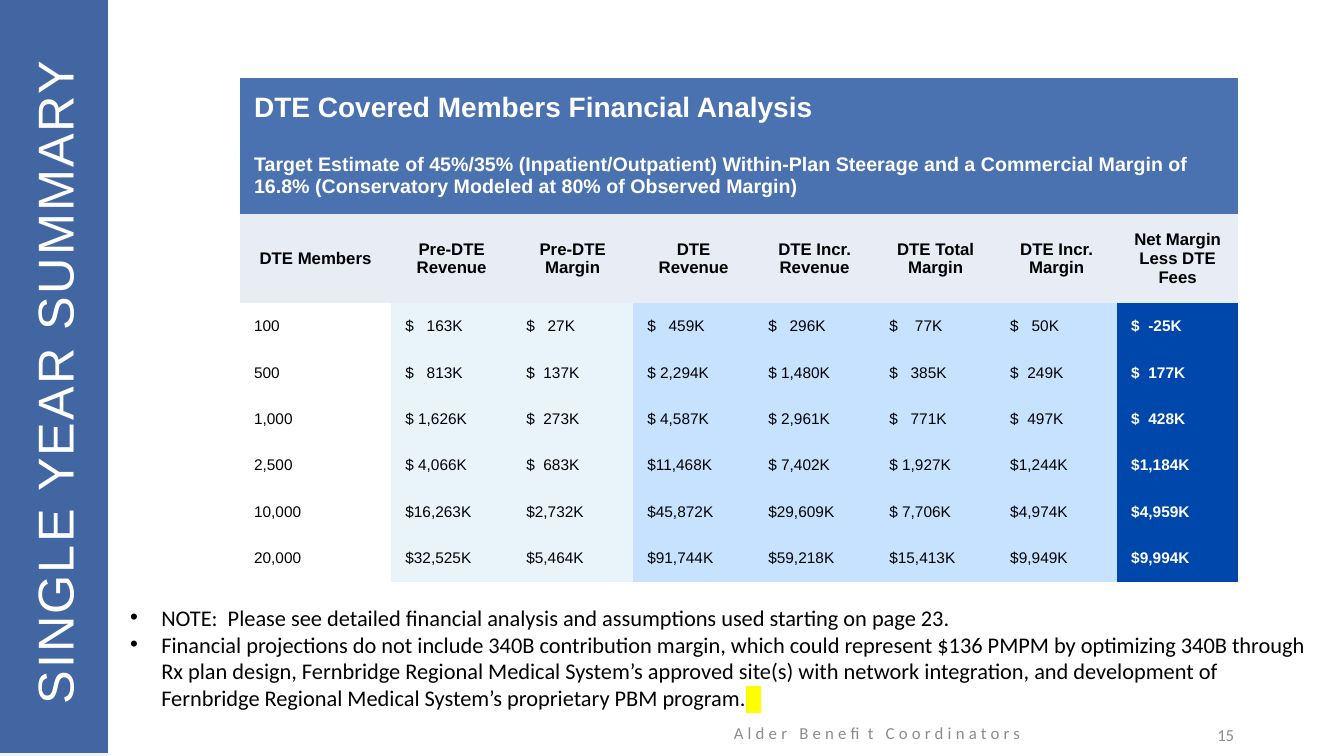
from pptx import Presentation
from pptx.dml.color import RGBColor
from pptx.enum.shapes import MSO_SHAPE
from pptx.enum.text import MSO_ANCHOR, MSO_AUTO_SIZE, PP_ALIGN
from pptx.oxml.ns import qn
from pptx.util import Inches, Pt
from lxml.etree import SubElement

COLORS = {
    "white": "FFFFFF", "black": "000000", "gray": "8C8C8C", "base": "F2F2F2",
    "bar": "254F96", "banner": "4A72B0", "heading": "E7ECF5",
    "before": "E8F4F9", "after": "C6E2FF", "net": "0047AB", "mark": "FFFF00",
}
NO_STYLE = "{2D5ABB26-0587-4C30-8999-92F81FD0307C}"

BANNERS = [
    ("DTE Covered Members Financial Analysis", 20),
    ("Target Estimate of 45%/35% (Inpatient/Outpatient) Within-Plan Steerage and a "
     "Commercial Margin of 16.8% (Conservatory Modeled at 80% of Observed Margin)", 14),
]
HEADINGS = ["DTE Members", "Pre-DTE Revenue", "Pre-DTE Margin", "DTE Revenue",
            "DTE Incr. Revenue", "DTE Total Margin", "DTE Incr. Margin",
            "Net Margin Less DTE Fees"]
RESULTS = [
    ["100", "$   163K", "$   27K", "$   459K", "$   296K", "$    77K", "$   50K", "$  -25K"],
    ["500", "$   813K", "$  137K", "$ 2,294K", "$ 1,480K", "$   385K", "$  249K", "$  177K"],
    ["1,000", "$ 1,626K", "$  273K", "$ 4,587K", "$ 2,961K", "$   771K", "$  497K", "$  428K"],
    ["2,500", "$ 4,066K", "$  683K", "$11,468K", "$ 7,402K", "$ 1,927K", "$1,244K", "$1,184K"],
    ["10,000", "$16,263K", "$2,732K", "$45,872K", "$29,609K", "$ 7,706K", "$4,974K", "$4,959K"],
    ["20,000", "$32,525K", "$5,464K", "$91,744K", "$59,218K", "$15,413K", "$9,949K", "$9,994K"],
]
COLUMN_FILLS = [None] + ["before"] * 2 + ["after"] * 4 + ["net"]
COLUMN_WIDTHS = [1.5] + [1.2] * 7
ROW_HEIGHTS = [0.6, 0.75, 0.89] + [0.46] * len(RESULTS)
NOTES = [
    "NOTE:  Please see detailed financial analysis and assumptions used starting on page 23.",
    "Financial projections do not include 340B contribution margin, which could represent "
    "$136 PMPM by optimizing 340B through Rx plan design, Fernbridge Regional Medical "
    "System’s approved site(s) with network integration, and development of Fernbridge "
    "Regional Medical System’s proprietary PBM program.",
]


class SlideBuilder:
    def __init__(self, s):
        self.s = s

    def color(self, name):
        return RGBColor.from_string(COLORS[name])

    def place(self, sp, x, y, w, h):
        sp.left, sp.top, sp.width, sp.height = (Inches(v) for v in (x, y, w, h))

    def style(self, p, size, color, font="Arial", bold=False, spacing=0):
        for r in p.runs:
            r.font.size = Pt(size)
            r.font.bold = bold
            r.font.color.rgb = self.color(color)
            r.font.name = font
            if spacing:
                r.font._element.set("spc", str(round(spacing * 100)))

    def bar(self, y, fill, order, opacity=100):
        sp = self.s.shapes.add_shape(MSO_SHAPE.RECTANGLE, 0, Inches(y), Inches(1.07), Inches(7.5))
        sp.shadow.inherit = False
        sp.fill.solid()
        sp.fill.fore_color.rgb = self.color(fill)
        sp.line.fill.background()
        if opacity < 100:
            rgb = sp._element.spPr.find(".//" + qn("a:srgbClr"))
            SubElement(rgb, qn("a:alpha"), val=str(opacity * 1000))
        self.s.shapes._spTree.insert(2 + order, sp._element)

    def title(self, text, x, y, w, h):
        sp = self.s.shapes.title
        self.place(sp, x, y, w, h)
        sp.rotation = 270
        tf = sp.text_frame
        tf.text = text
        tf.vertical_anchor = MSO_ANCHOR.MIDDLE
        tf.auto_size = MSO_AUTO_SIZE.NONE
        tf.paragraphs[0].alignment = PP_ALIGN.LEFT
        self.style(tf.paragraphs[0], 36, "white", spacing=1.5)

    def footer(self, text, x, y, w, align, spacing=0):
        tf = self.s.shapes.add_textbox(Inches(x), Inches(y), Inches(w), Inches(0.4)).text_frame
        tf.word_wrap = True
        tf.vertical_anchor = MSO_ANCHOR.MIDDLE
        tf.text = text
        tf.paragraphs[0].alignment = align
        self.style(tf.paragraphs[0], 12, "gray", "Calibri", spacing=spacing)

    def bullets(self, lines, x, y, w, h):
        sp = self.s.placeholders[1]
        self.place(sp, x, y, w, h)
        tf = sp.text_frame
        tf.text = "\n".join(lines)
        tf.vertical_anchor = MSO_ANCHOR.TOP
        tf.auto_size = MSO_AUTO_SIZE.SHAPE_TO_FIT_TEXT
        for p in tf.paragraphs:
            pPr = p._p.get_or_add_pPr()
            pPr.set("marL", str(Inches(0.31)))
            pPr.set("indent", str(-Inches(0.31)))
            SubElement(pPr, qn("a:buFont"), typeface="Arial")
            SubElement(pPr, qn("a:buChar"), char="•")
            p.space_before = Pt(0)
            self.style(p, 16, "black", "Calibri")
        self.highlight(p)

    def highlight(self, p):
        r = p.add_run()
        r.text = "   "
        self.style(p, 16, "black", "Calibri")
        rPr = r.font._element
        mark = SubElement(rPr, qn("a:highlight"))
        SubElement(mark, qn("a:srgbClr"), val=COLORS["mark"])
        rPr.find(qn("a:solidFill")).addnext(mark)

    def cell(self, cell, text, size, color, fill=None, bold=False, align=PP_ALIGN.LEFT):
        cell.margin_left = cell.margin_right = Inches(0.14)
        cell.margin_top = cell.margin_bottom = 0
        cell.vertical_anchor = MSO_ANCHOR.MIDDLE
        if fill:
            cell.fill.solid()
            cell.fill.fore_color.rgb = self.color(fill)
        else:
            cell.fill.background()
        cell.text_frame.text = text
        p = cell.text_frame.paragraphs[0]
        p.alignment = align
        self.style(p, size, color, bold=bold)

    def table(self, x, y):
        table = self.s.shapes.add_table(
            len(ROW_HEIGHTS), len(COLUMN_WIDTHS), Inches(x), Inches(y),
            Inches(sum(COLUMN_WIDTHS)), Inches(sum(ROW_HEIGHTS))).table
        table.first_row = table.horz_banding = False
        table._tbl.tblPr.find(qn("a:tableStyleId")).text = NO_STYLE
        for column, width in zip(table.columns, COLUMN_WIDTHS):
            column.width = Inches(width)
        for row, height in zip(table.rows, ROW_HEIGHTS):
            row.height = Inches(height)
        for i, (text, size) in enumerate(BANNERS):
            table.cell(i, 0).merge(table.cell(i, len(COLUMN_WIDTHS) - 1))
            self.cell(table.cell(i, 0), text, size, "white", "banner", True)
        for j, text in enumerate(HEADINGS):
            self.cell(table.cell(2, j), text, 12, "black", "heading", True, PP_ALIGN.CENTER)
        for i, values in enumerate(RESULTS, 3):
            for j, (text, fill) in enumerate(zip(values, COLUMN_FILLS)):
                net = fill == "net"
                self.cell(table.cell(i, j), text, 11, "white" if net else "black", fill, net)


def main():
    prs = Presentation()
    prs.slide_width, prs.slide_height = Inches(13.33), Inches(7.5)
    b = SlideBuilder(prs.slides.add_slide(prs.slide_layouts[1]))
    b.bar(0, "base", 0)
    b.bar(-0.03, "bar", 1, 86)
    b.title("SINGLE YEAR SUMMARY", -2.83, 3.32, 6.72, 0.82)
    b.footer("Alder Benefit Coordinators", 6.45, 7.07, 4.5, PP_ALIGN.CENTER, 3)
    b.footer("15", 9.34, 7.09, 3, PP_ALIGN.RIGHT)
    b.bullets(NOTES, 1.19, 5.94, 11.9, 0.91)
    b.table(2.38, 0.77)
    prs.save("out.pptx")


if __name__ == "__main__":
    main()
